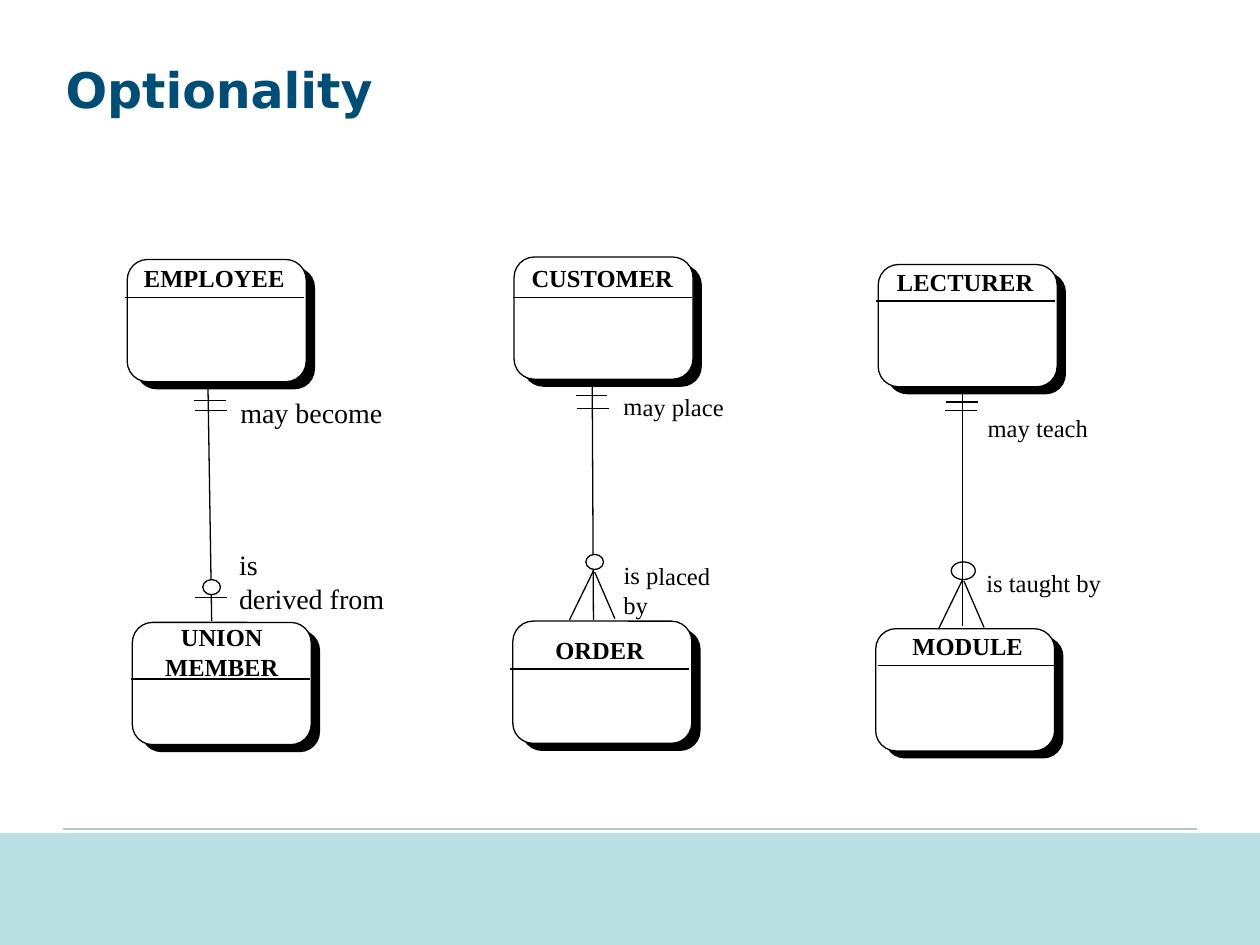
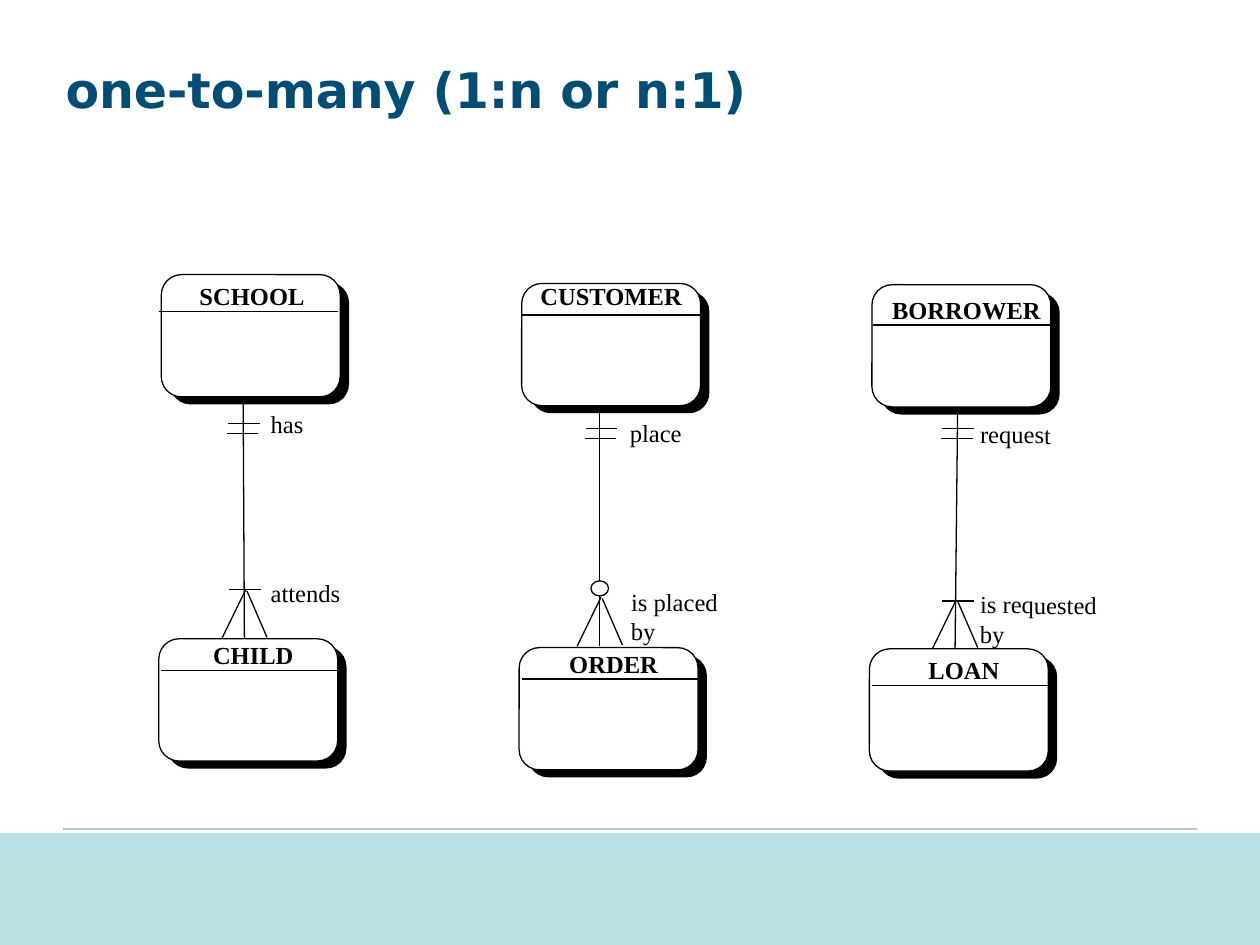
from dataclasses import dataclass

from lxml import etree
from pptx import Presentation
from pptx.dml import color
from pptx.enum import shapes, text
from pptx.oxml import ns
from pptx.util import Inches, Pt

BLACK, WHITE = "000000", "FFFFFF"
TITLE_BLUE, RULE_BLUE, BAND_TEAL = "004D75", "B2C9D5", "BBE0E3"
TITLE_FONT, DIAGRAM_FONT = "DejaVu Sans", "Times New Roman"
ENTITY_W, ENTITY_H = 1.42, 0.97
BAR_W = 0.25
PRESET = shapes.MSO_SHAPE


@dataclass
class Entity:
    """Name, with the offsets of its rule and name box from the entity box."""
    name: str
    rule: tuple
    name_at: tuple


@dataclass
class Relation:
    """Two entities and their link; offsets start at the upper entity box."""
    at: tuple
    upper: Entity
    lower: Entity
    link: tuple
    bars: list
    labels: list
    lower_at: tuple = (-0.02, 2.89)
    foot: tuple = None
    oval: tuple = None
    oval_fill: str = WHITE
    label_size: int = 14


def rgb(value):
    return color.RGBColor.from_string(value)


def add_line(sps, x1, y1, x2, y2, line_color=BLACK, width=0.75):
    line = sps.add_connector(shapes.MSO_CONNECTOR.STRAIGHT,
                             *map(Inches, (x1, y1, x2, y2)))
    line.line.color.rgb = rgb(line_color)
    line.line.width = Pt(width)
    etree.SubElement(line._element.spPr, ns.qn("a:effectLst"))


def add_shape(sps, preset, x, y, w, h, fill=None, outline=None):
    sp = sps.add_shape(preset, *map(Inches, (x, y, w, h)))
    sp.shadow.inherit = False
    if fill:
        sp.fill.solid()
        sp.fill.fore_color.rgb = rgb(fill)
    else:
        sp.fill.background()
    if outline:
        sp.line.color.rgb = rgb(outline)
        sp.line.width = Pt(0.75)
    else:
        sp.line.fill.background()


def write(tf, words, align=text.PP_ALIGN.LEFT, font_color=BLACK, **font):
    """Fill a text frame, one paragraph for each line of words."""
    tf.word_wrap = True
    tf.vertical_anchor = text.MSO_ANCHOR.TOP
    for i, line in enumerate(words.split("\n")):
        p = tf.add_paragraph() if i else tf.paragraphs[0]
        p.alignment = align
        r = p.add_run()
        r.text = line
        r.font.color.rgb = rgb(font_color)
        for key, value in font.items():
            setattr(r.font, key, value)


def add_text(sps, x, y, w, h, words, size=14, rotation=0, **style):
    sp = sps.add_textbox(*map(Inches, (x, y, w, h)))
    sp.rotation = rotation
    write(sp.text_frame, words, name=DIAGRAM_FONT, size=Pt(size), **style)


def draw_entity(sps, x, y, entity):
    box = PRESET.FLOWCHART_ALTERNATE_PROCESS
    add_shape(sps, box, x + 0.07, y + 0.06, ENTITY_W, ENTITY_H, BLACK)
    add_shape(sps, box, x, y, ENTITY_W, ENTITY_H, WHITE, BLACK)
    rule_x, rule_y = x + entity.rule[0], y + entity.rule[1]
    add_line(sps, rule_x, rule_y, rule_x + ENTITY_W, rule_y)
    name_h = 0.57 if " " in entity.name else 0.36
    add_text(sps, x + entity.name_at[0], y + entity.name_at[1], 1.52, name_h,
             entity.name, align=text.PP_ALIGN.CENTER, bold=True)


def draw_crows_foot(sps, x, y):
    add_line(sps, x - 0.19, y + 0.39, x, y)
    add_line(sps, x + 0.17, y + 0.38, x + 0.01, y + 0.01)


def draw_relation(s, rel):
    sps = s.shapes.add_group_shape().shapes
    x, y = rel.at
    draw_entity(sps, x, y, rel.upper)
    draw_entity(sps, x + rel.lower_at[0], y + rel.lower_at[1], rel.lower)
    x1, y1, x2, y2 = rel.link
    add_line(sps, x + x1, y + y1, x + x2, y + y2)
    for dx, dy in rel.bars:
        add_line(sps, x + dx, y + dy, x + dx + BAR_W, y + dy)
    if rel.foot:
        draw_crows_foot(sps, x + rel.foot[0], y + rel.foot[1])
    if rel.oval:
        dx, dy, w, h = rel.oval
        add_shape(sps, PRESET.OVAL, x + dx, y + dy, w, h, rel.oval_fill, BLACK)
    for words, dx, dy, w, h in rel.labels:
        add_text(sps, x + dx, y + dy, w, h, words, rel.label_size, 0.3)


def add_diagram_slide(prs, title, title_h, relations):
    s = prs.slides.add_slide(prs.slide_layouts[5])
    add_line(s.shapes, 9.5, 6.58, 0.5, 6.58, RULE_BLUE, 1.25)
    sp = s.shapes.title
    box = dict(left=0.42, top=0.42, width=9.08, height=title_h)
    for key, value in box.items():
        setattr(sp, key, Inches(value))
    write(sp.text_frame, title, font_color=TITLE_BLUE, name=TITLE_FONT,
          size=Pt(28), bold=True)
    for rel in relations:
        draw_relation(s, rel)
    add_shape(s.shapes, PRESET.RECTANGLE, 0, 6.61, 10, 0.89, BAND_TEAL)


OPTIONALITY = [
    Relation(
        at=(1.01, 2.06), lower_at=(0.04, 2.88),
        upper=Entity("EMPLOYEE", (-0.02, 0.3), (-0.07, -0.02)),
        lower=Entity("UNION MEMBER", (-0.01, 0.45), (-0.05, -0.05)),
        link=(0.64, 0.97, 0.67, 2.87),
        bars=[(0.53, 1.12), (0.54, 1.2), (0.54, 2.68)],
        oval=(0.6, 2.54, 0.14, 0.12), label_size=16,
        labels=[("may become", 0.8, 1.03, 1.48, 0.37),
                ("is\nderived from", 0.79, 2.24, 1.43, 0.64)]),
    Relation(
        at=(4.08, 2.04), lower_at=(-0.01, 2.89),
        upper=Entity("CUSTOMER", (-0.01, 0.32), (-0.06, 0)),
        lower=Entity("ORDER", (-0.02, 0.38), (-0.07, 0.06)),
        link=(0.62, 0.99, 0.63, 2.88),
        bars=[(0.49, 1.1), (0.5, 1.2)],
        foot=(0.63, 2.49), oval=(0.57, 2.36, 0.14, 0.12),
        labels=[("may place", 0.77, 1.02, 1.02, 0.33),
                ("is placed by", 0.77, 2.36, 0.91, 0.57)]),
    Relation(
        at=(6.97, 2.1),
        upper=Entity("LECTURER", (-0.02, 0.29), (-0.07, -0.03)),
        lower=Entity("MODULE", (0.02, 0.29), (-0.03, -0.03)),
        link=(0.67, 0.97, 0.67, 2.87),
        bars=[(0.54, 1.09), (0.53, 1.16)],
        foot=(0.67, 2.5), oval=(0.58, 2.36, 0.19, 0.14), oval_fill=None,
        labels=[("may teach", 0.77, 1.13, 1.02, 0.33),
                ("is taught by", 0.76, 2.36, 1.14, 0.33)]),
]

ONE_TO_MANY = [
    Relation(
        at=(1.28, 2.18),
        upper=Entity("SCHOOL", (-0.02, 0.29), (-0.04, 0)),
        lower=Entity("CHILD", (0.02, 0.25), (-0.01, -0.04)),
        link=(0.65, 1.02, 0.66, 2.89),
        bars=[(0.53, 1.18), (0.52, 1.26), (0.54, 2.5)],
        foot=(0.67, 2.5),
        labels=[("has", 0.77, 1.02, 1.02, 0.33),
                ("attends", 0.77, 2.36, 0.91, 0.33)]),
    Relation(
        at=(4.14, 2.25),
        upper=Entity("CUSTOMER", (0, 0.25), (-0.05, -0.07)),
        lower=Entity("ORDER", (0.02, 0.25), (-0.01, -0.04)),
        link=(0.62, 1.03, 0.62, 2.88),
        bars=[(0.51, 1.15), (0.5, 1.23)],
        foot=(0.63, 2.49), oval=(0.55, 2.36, 0.14, 0.12),
        labels=[("place", 0.76, 1.02, 1.12, 0.33),
                ("is placed by", 0.77, 2.36, 0.91, 0.57)]),
    Relation(
        at=(6.92, 2.26),
        upper=Entity("BORROWER", (0.01, 0.32), (-0.01, 0.03)),
        lower=Entity("LOAN", (0.02, 0.29), (-0.01, 0)),
        link=(0.68, 1.02, 0.66, 2.89),
        bars=[(0.56, 1.14), (0.55, 1.22), (0.56, 2.51)],
        foot=(0.67, 2.5),
        labels=[("request", 0.76, 1.02, 1.02, 0.33),
                ("is requested by", 0.76, 2.37, 1.14, 0.57)]),
]


def main():
    prs = Presentation()
    prs.slide_width, prs.slide_height = Inches(10), Inches(7.5)
    add_diagram_slide(prs, "Optionality", 0.58, OPTIONALITY)
    add_diagram_slide(prs, "one-to-many (1:n or n:1)", 1.17, ONE_TO_MANY)
    prs.save("out.pptx")


if __name__ == "__main__":
    main()
